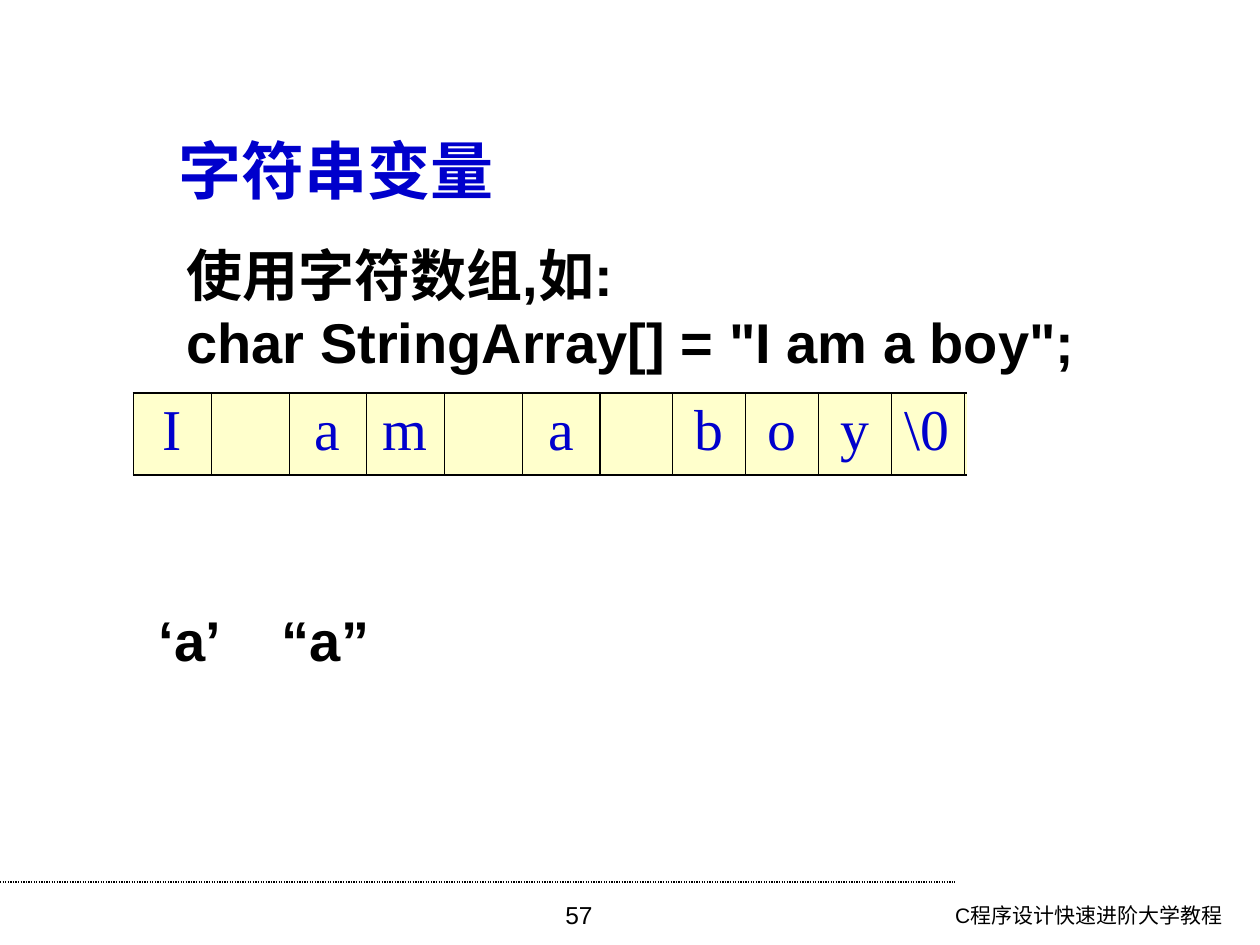
from dataclasses import dataclass

from lxml.etree import SubElement
from pptx import Presentation
from pptx.dml.color import RGBColor
from pptx.enum.dml import MSO_LINE
from pptx.enum.shapes import MSO_CONNECTOR, MSO_SHAPE
from pptx.enum.text import MSO_ANCHOR, PP_ALIGN
from pptx.oxml.ns import qn
from pptx.util import Inches, Pt


@dataclass(frozen=True)
class Theme:
    black: RGBColor = RGBColor(0, 0, 0)
    white: RGBColor = RGBColor(255, 255, 255)
    blue: RGBColor = RGBColor(0, 0, 0xCC)
    cream: RGBColor = RGBColor(255, 255, 0xCC)
    sans: str = "Arial"
    serif: str = "Times New Roman"
    title: int = 36
    body: int = 32
    cell: int = 33
    number: int = 14
    footer: int = 12
    thin: float = 0.45
    thick: float = 1.08


THEME = Theme()


def style(p, size, color=THEME.black, name=THEME.sans, bold=False, align=PP_ALIGN.LEFT):
    p.alignment = align
    p.font.size, p.font.name, p.font.bold = Pt(size), name, bold
    p.font.color.rgb = color


def place(sp, box):
    sp.left, sp.top, sp.width, sp.height = (Inches(v) for v in box)


def add_title(s, text, box):
    sp = s.shapes.title
    place(sp, box)
    tf = sp.text_frame
    tf.text = text
    tf.word_wrap = True
    tf.vertical_anchor = MSO_ANCHOR.TOP
    style(tf.paragraphs[0], THEME.title, THEME.blue, bold=True)


def add_text(s, lines, box, size, bold=False, align=PP_ALIGN.LEFT, tab=None):
    tf = s.shapes.add_textbox(*(Inches(v) for v in box)).text_frame
    tf.word_wrap = True
    for i, line in enumerate(lines):
        p = tf.add_paragraph() if i else tf.paragraphs[0]
        p.text = line
        if tab:
            stops = SubElement(p._p.get_or_add_pPr(), qn("a:tabLst"))
            SubElement(stops, qn("a:tab"), pos=str(Inches(tab)), algn="l")
        style(p, size, bold=bold, align=align)


def set_borders(cell, widths):
    """Draw the borders of a cell; they must come before its fill."""
    tc_pr = cell._tc.get_or_add_tcPr()
    for side, width in widths.items():
        ln = SubElement(tc_pr, qn(f"a:ln{side}"), w=str(Pt(width)))
        fill = SubElement(ln, qn("a:solidFill"))
        SubElement(fill, qn("a:srgbClr"), val=str(THEME.black))


def add_char_cells(s, chars, box):
    """One row of equal cells, one character in each, with a thick outline."""
    last = len(chars) - 1
    table = s.shapes.add_table(1, len(chars), *(Inches(v) for v in box)).table
    table.first_row = table.horz_banding = False
    for i, char in enumerate(chars):
        table.columns[i].width = Inches(box[2] / len(chars))
        cell = table.cell(0, i)
        set_borders(cell, {
            "L": THEME.thin if i else THEME.thick,
            "R": THEME.thin if i < last else THEME.thick,
            "T": THEME.thick,
            "B": THEME.thick,
        })
        cell.fill.solid()
        cell.fill.fore_color.rgb = THEME.cream
        cell.text = char
        style(cell.text_frame.paragraphs[0], THEME.cell, THEME.blue,
              THEME.serif, align=PP_ALIGN.CENTER)


def add_mask(s, box):
    sp = s.shapes.add_shape(MSO_SHAPE.RECTANGLE, *(Inches(v) for v in box))
    sp.shadow.inherit = False
    sp.fill.solid()
    sp.fill.fore_color.rgb = sp.line.color.rgb = THEME.white
    sp.line.width = Pt(0.75)


def add_rule(s, x1, x2, y):
    line = s.shapes.add_connector(
        MSO_CONNECTOR.STRAIGHT, Inches(x1), Inches(y), Inches(x2), Inches(y))
    line.line.color.rgb = THEME.black
    line.line.width = Pt(0.75)
    line.line.dash_style = MSO_LINE.ROUND_DOT
    SubElement(line._element.spPr, qn("a:effectLst"))


def main():
    prs = Presentation()
    prs.slide_width, prs.slide_height = Inches(10), Inches(7.5)
    s = prs.slides.add_slide(prs.slide_layouts[5])

    # Footer
    add_rule(s, 0, 7.58, 7)
    add_text(s, ["C程序设计快速进阶大学教程"], (6.57, 7.11, 3.23, 0.39),
             THEME.footer, align=PP_ALIGN.RIGHT)
    add_text(s, ["57"], (3.43, 7.09, 2.33, 0.41), THEME.number, align=PP_ALIGN.CENTER)

    # Title and declaration
    add_title(s, "字符串变量", (1.32, 0.99, 3, 0.7))
    add_text(s, ["使用字符数组,如:", 'char StringArray[] = "I am a boy";'],
             (1.38, 1.86, 7.8, 1.17), THEME.body, bold=True)

    # Array in memory, open at its right end
    add_char_cells(s, ["I", "", "a", "m", "", "a"], (1.06, 3.12, 3.7, 0.65))
    add_char_cells(s, ["", "b", "o", "y", "\\0", ""], (4.76, 3.12, 3.47, 0.65))
    add_mask(s, (7.68, 3.04, 1.97, 1.65))

    # Character against string
    add_text(s, ["‘a’\t“a”"], (1.16, 4.76, 3.6, 0.64), THEME.body, bold=True, tab=0.98)

    prs.save("out.pptx")


if __name__ == "__main__":
    main()
